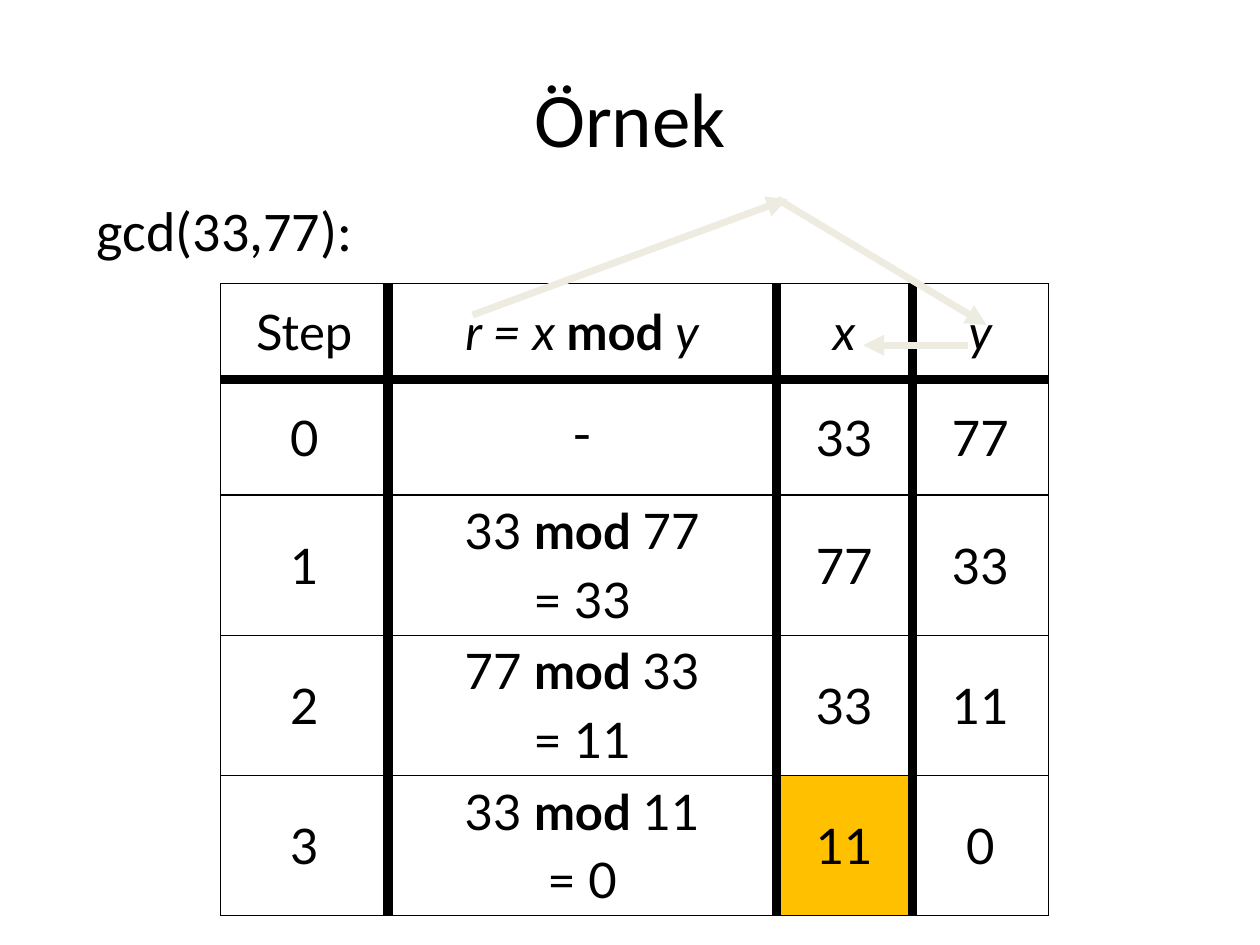
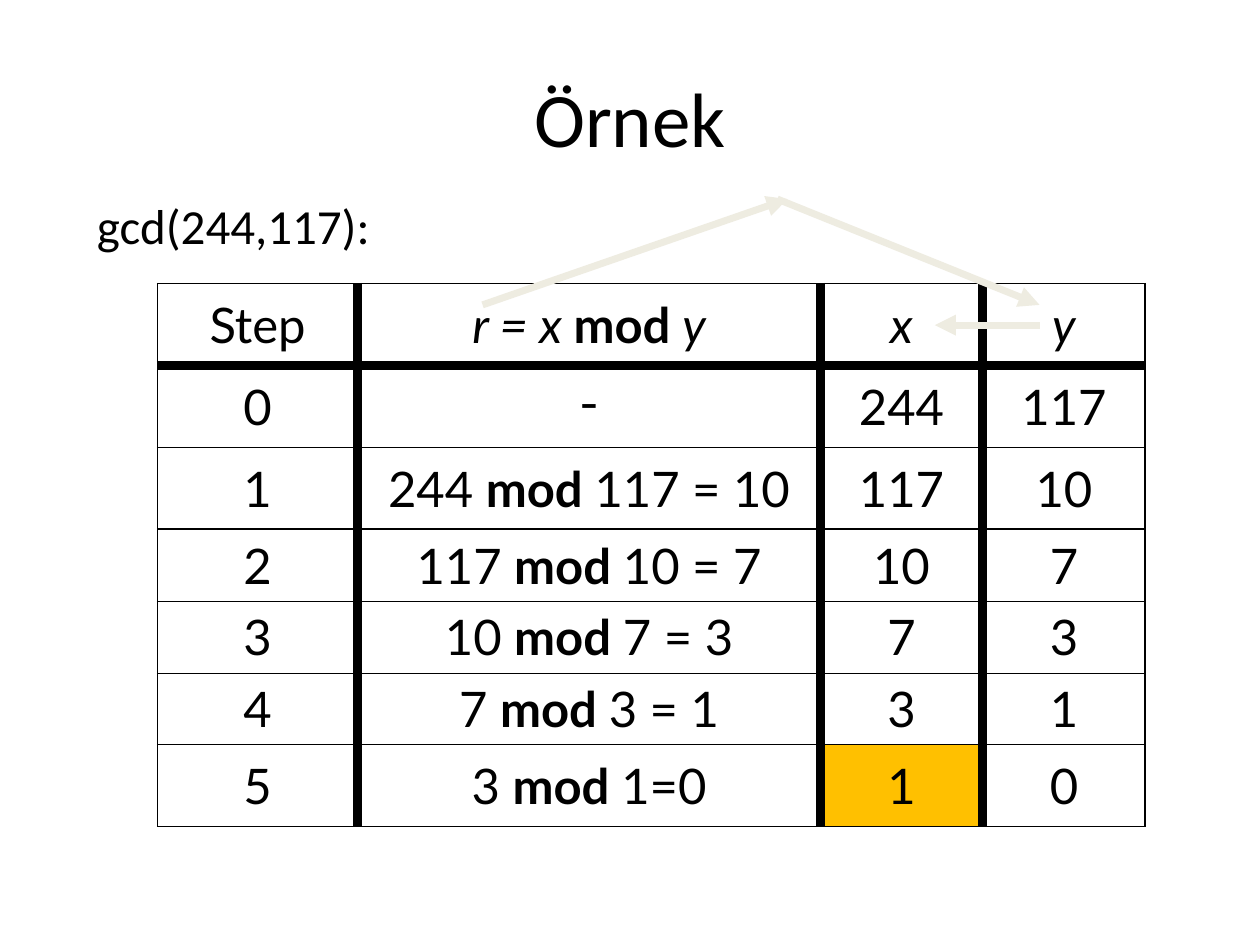
from pptx import Presentation
from pptx.dml.color import RGBColor
from pptx.enum.shapes import MSO_CONNECTOR
from pptx.enum.text import MSO_ANCHOR, PP_ALIGN
from pptx.oxml.ns import qn
from pptx.util import Inches, Pt
from lxml import etree

STRAIGHT = MSO_CONNECTOR.STRAIGHT
TOP, MIDDLE = MSO_ANCHOR.TOP, MSO_ANCHOR.MIDDLE
LEFT, CENTER = PP_ALIGN.LEFT, PP_ALIGN.CENTER

INK, ARROW, RESULT = "000000", "EEECE1", "FFC000"
TEXT_FONT, TABLE_FONT, DASH_FONT = "Calibri", "Lato", "Courier New"
HEAVY, LIGHT, HAIRLINE = 6, 1, 0.25
HEADER = ("Step", "r = x mod y", "x", "y")
RESULT_COLUMN = 2


def color(hex_code):
    """Turn a hex string into a colour."""
    return RGBColor.from_string(hex_code)


def style_font(font, name, size):
    """Apply typeface, size and the shared ink colour."""
    font.name, font.size = name, Pt(size)
    font.color.rgb = color(INK)


def add_text(slide, text, box, size, align, anchor):
    """Add a single-paragraph text box."""
    frame = slide.shapes.add_textbox(*map(Inches, box)).text_frame
    frame.word_wrap = True
    frame.vertical_anchor = anchor
    frame.text = text
    paragraph = frame.paragraphs[0]
    paragraph.alignment = align
    style_font(paragraph.runs[0].font, TEXT_FONT, size)


def add_arrow(slide, start, end):
    """Draw a pale arrow from start to end."""
    arrow = slide.shapes.add_connector(STRAIGHT, *map(Inches, start + end))
    arrow.line.color.rgb = color(ARROW)
    arrow.line.width = Pt(4)
    etree.SubElement(arrow.line._get_or_add_ln(), qn("a:tailEnd"), type="triangle")
    etree.SubElement(arrow._element.spPr, qn("a:effectLst"))


def set_borders(cell, widths):
    """Set left, right, top and bottom border widths in points."""
    properties = cell._tc.get_or_add_tcPr()
    for side, width in zip("LRTB", widths):
        border = etree.SubElement(properties, qn(f"a:ln{side}"), w=str(Pt(width)))
        fill = etree.SubElement(border, qn("a:solidFill"))
        etree.SubElement(fill, qn("a:srgbClr"), val=INK)


def write_cell(cell, text, italic):
    """Write centred lines with a bold, upright mod operator."""
    cell.vertical_anchor = MIDDLE
    cell.text = text
    for index, paragraph in enumerate(cell.text_frame.paragraphs):
        before, operator, after = paragraph.text.partition("mod ")
        paragraph.text = ""
        paragraph.alignment = CENTER
        if index:
            paragraph.space_before = Pt(5.6)
        for part in filter(None, (before, operator, after)):
            run = paragraph.add_run()
            run.text = part
            style_font(run.font, DASH_FONT if part == "-" else TABLE_FONT, 28)
            run.font.bold = part == operator
            run.font.italic = italic and part != operator


def rule_below(row, last_row):
    """Give the width of the horizontal rule under a row."""
    if row == 0:
        return HEAVY
    return HAIRLINE if 3 <= row < last_row else LIGHT


def add_step_table(slide, left, column_widths, row_heights, steps):
    """Add the table of Euclid's steps and highlight the result."""
    rows = [HEADER] + [(str(number), *step) for number, step in enumerate(steps)]
    last_row, last_column = len(rows) - 1, len(HEADER) - 1
    table = slide.shapes.add_table(
        len(rows), len(HEADER), Inches(left), Inches(2.25),
        Inches(sum(column_widths)), Inches(sum(row_heights))).table
    table.first_row = table.horz_banding = False
    for column, width in zip(table.columns, column_widths):
        column.width = Inches(width)
    for r, values in enumerate(rows):
        table.rows[r].height = Inches(row_heights[r])
        for c, value in enumerate(values):
            cell = table.cell(r, c)
            write_cell(cell, value, italic=r == 0 and c > 0)
            set_borders(cell, (
                HEAVY if c else LIGHT,
                HEAVY if c < last_column else LIGHT,
                rule_below(r - 1, last_row) if r else LIGHT,
                rule_below(r, last_row)))
            if (r, c) == (last_row, RESULT_COLUMN):
                cell.fill.solid()
                cell.fill.fore_color.rgb = color(RESULT)
            else:
                cell.fill.background()


def add_example(deck, call, call_size, call_height, table, arrows):
    """Add one worked example slide."""
    slide = deck.slides.add_slide(deck.slide_layouts[6])
    add_text(slide, "Örnek", (0.5, 0.3, 9, 1.25), 44, CENTER, MIDDLE)
    add_text(slide, call, (0.67, 1.5, 8.5, call_height), call_size, LEFT, TOP)
    add_step_table(slide, *table)
    for start, end in arrows:
        add_arrow(slide, start, end)


def main():
    """Build and save both examples."""
    deck = Presentation()
    deck.slide_width, deck.slide_height = Inches(10), Inches(7.5)
    r_peak, y_peak = (6.25, 1.58), (6.17, 1.58)
    add_example(
        deck, "gcd(33,77):", 32, 4.5,
        (1.75, (1.33, 3.08, 1.08, 1.08), (0.76, 0.92, 1.11, 1.11, 1.11), [
            ("-", "33", "77"),
            ("33 mod 77\n= 33", "77", "33"),
            ("77 mod 33\n= 11", "33", "11"),
            ("33 mod 11\n= 0", "11", "0")]),
        [((7.68, 2.74), (6.85, 2.74)),
         ((3.75, 2.5), r_peak),
         (y_peak, (7.83, 2.58))])
    add_example(
        deck, "gcd(244,117):", 28, 5.83,
        (1.25, (1.59, 3.67, 1.29, 1.29), (0.65,) * 3 + (0.57,) * 3 + (0.65,), [
            ("-", "244", "117"),
            ("244 mod 117 = 10", "117", "10"),
            ("117 mod 10 = 7", "10", "7"),
            ("10 mod 7 = 3", "7", "3"),
            ("7 mod 3 = 1", "3", "1"),
            ("3 mod 1=0", "1", "0")]),
        [((8.25, 2.58), (7.42, 2.58)),
         ((3.83, 2.42), r_peak),
         (y_peak, (8.25, 2.42))])
    deck.save("out.pptx")


if __name__ == "__main__":
    main()
